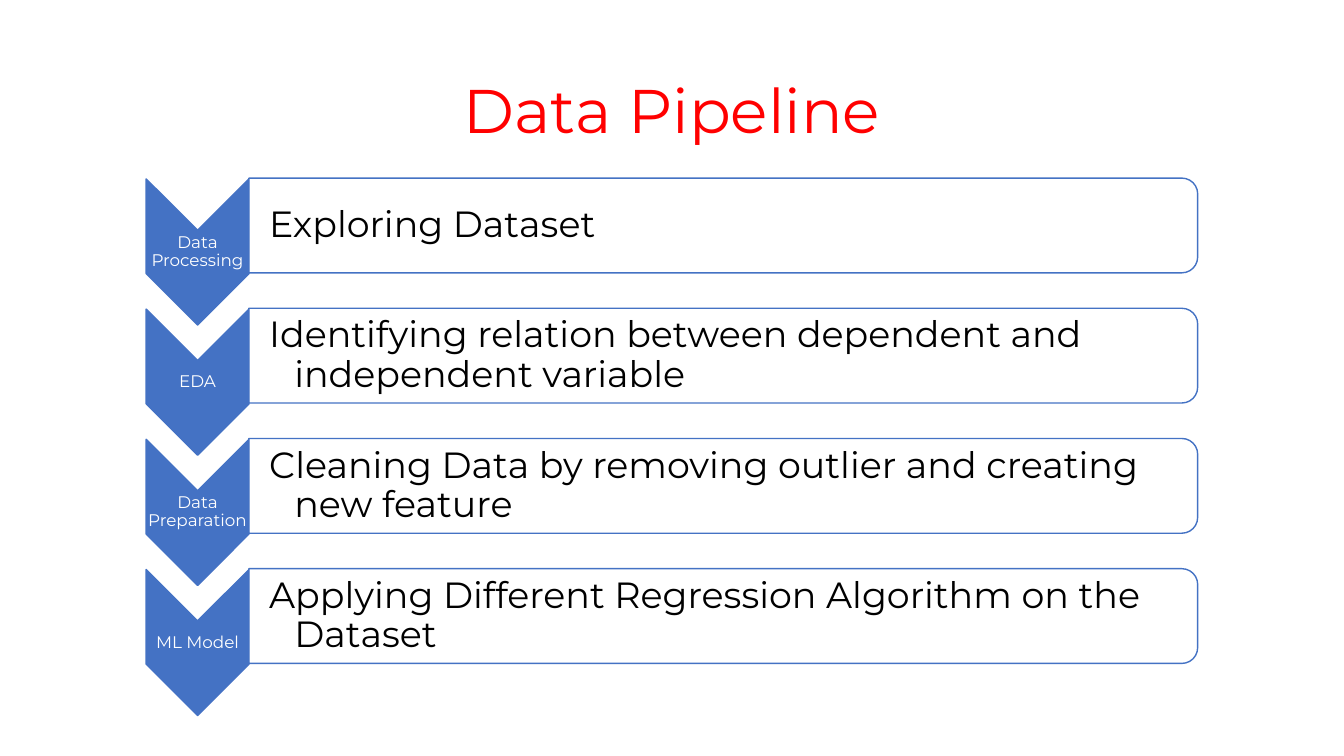
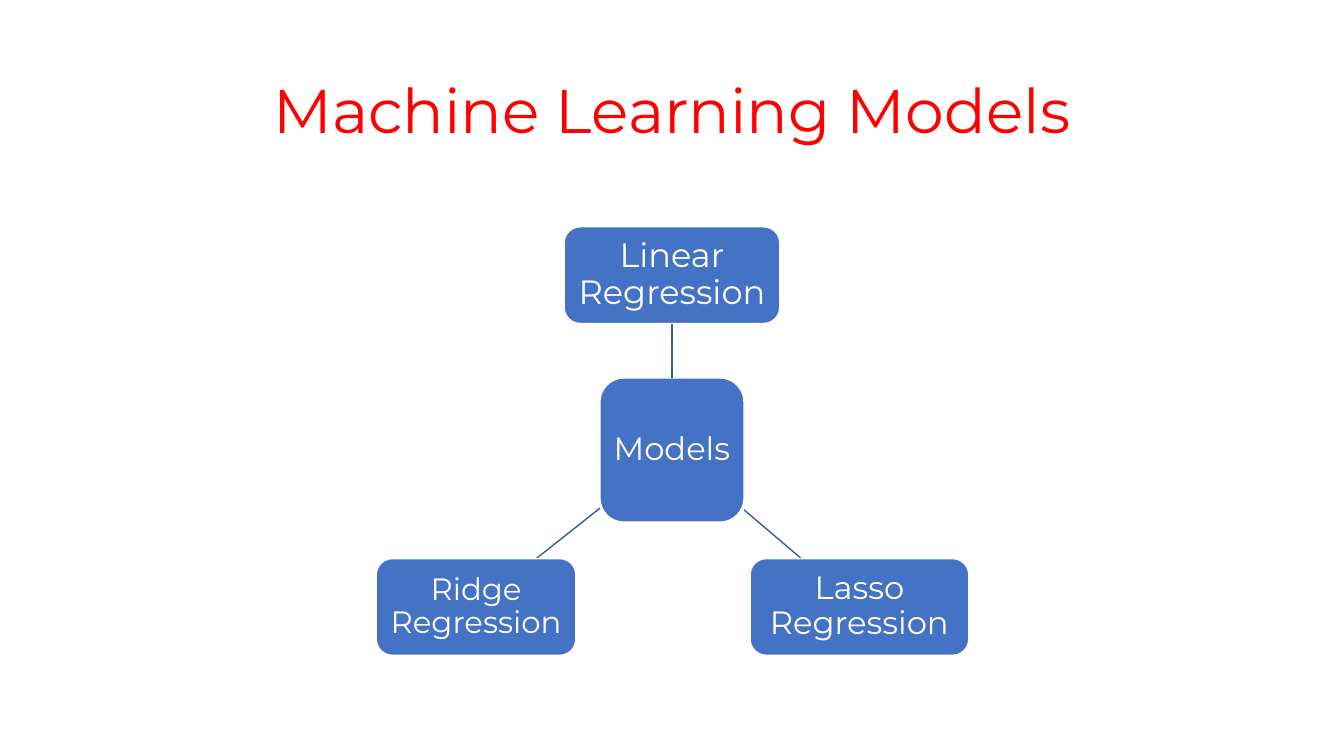
import dataclasses

import lxml.etree
import pptx
import pptx.dml.color
import pptx.enum.shapes
import pptx.enum.text
import pptx.oxml.ns
import pptx.shapes.autoshape
import pptx.slide
import pptx.util

RED = pptx.dml.color.RGBColor(0xFF, 0x00, 0x00)
BLUE = pptx.dml.color.RGBColor(0x44, 0x72, 0xC4)
DARK_BLUE = pptx.dml.color.RGBColor(0x36, 0x5B, 0x9D)
WHITE = pptx.dml.color.RGBColor(0xFF, 0xFF, 0xFF)
BLACK = pptx.dml.color.RGBColor(0x00, 0x00, 0x00)

FONT = "Montserrat"
SLIDE_WIDTH = pptx.util.Inches(13.33)
SLIDE_HEIGHT = pptx.util.Inches(7.5)
COLUMNS, ROWS = 160, 90
BLANK_LAYOUT = 6

Shapes = pptx.enum.shapes.MSO_SHAPE
Align = pptx.enum.text.PP_ALIGN


@dataclasses.dataclass(frozen=True)
class Box:
    left: float
    top: float
    width: float
    height: float

    @property
    def center(self) -> tuple[float, float]:
        return self.left + self.width / 2, self.top + self.height / 2

    def quarter_turned(self) -> "Box":
        x, y = self.center
        return centered_box(x, y, self.height, self.width)

    def emu(self) -> tuple[int, int, int, int]:
        return column(self.left), row(self.top), column(self.width), row(self.height)


@dataclasses.dataclass(frozen=True)
class TextStyle:
    size: float
    color: pptx.dml.color.RGBColor
    align: Align = Align.CENTER
    inset: float = 0.01
    left_inset: float | None = None
    hanging: float = 0


@dataclasses.dataclass(frozen=True)
class Stage:
    label: str
    description: str


@dataclasses.dataclass(frozen=True)
class Model:
    name: str
    box: Box
    size: float
    inset: float
    line_start: tuple[float, float]
    line_end: tuple[float, float]


TITLE_BOX = Box(11, 4.8, 138, 17.4)
TITLE_STYLE = TextStyle(44, RED, inset=0.1)
LABEL_STYLE = TextStyle(12, WHITE)
DESCRIPTION_STYLE = TextStyle(26, BLACK, Align.LEFT, 0.02, 0.2, 0.25)

STAGE_PITCH = 15.5
CHEVRON = Box(17.4, 21.3, 12.24, 17.4)
LABEL_HEIGHT = 5.28
BAR = Box(29.64, 21.2, 112.92, 11.28)
BAR_TEXT_WIDTH, BAR_TEXT_HEIGHT = 112.3, 10.2
BAR_OPACITY = 90

STAGES = (
    Stage("Data Processing", "Exploring Dataset"),
    Stage("EDA", "Identifying relation between dependent and independent variable"),
    Stage("Data Preparation", "Cleaning Data by removing outlier and creating new feature"),
    Stage("ML Model", "Applying Different Regression Algorithm on the Dataset"),
)

HUB = Box(71.42, 45, 17.16, 17.16)
HUB_STYLE = TextStyle(23, WHITE, inset=0.06)
MODEL_HEIGHT = 11.52
LOWER_TOP = 66.5
MODELS = (
    Model("Linear Regression", Box(67.16, 27, 25.68, MODEL_HEIGHT), 24, 0.07,
          (80, 45), (80, 38.52)),
    Model("Lasso Regression", Box(89.3, LOWER_TOP, 26.04, MODEL_HEIGHT), 23, 0.06,
          (88.58, 60.7), (95.4, LOWER_TOP)),
    Model("Ridge Regression", Box(44.8, LOWER_TOP, 23.76, MODEL_HEIGHT), 22, 0.06,
          (71.42, 60.5), (63.84, LOWER_TOP)),
)


def column(count: float) -> int:
    return round(SLIDE_WIDTH * count / COLUMNS)


def row(count: float) -> int:
    return round(SLIDE_HEIGHT * count / ROWS)


def centered_box(x: float, y: float, width: float, height: float) -> Box:
    return Box(x - width / 2, y - height / 2, width, height)


def set_attributes(target: object, values: dict[str, object]) -> None:
    for name, value in values.items():
        setattr(target, name, value)


def write_text(shape: pptx.shapes.autoshape.Shape, text: str, style: TextStyle) -> None:
    inset = pptx.util.Inches(style.inset)
    left_inset = inset if style.left_inset is None else pptx.util.Inches(style.left_inset)
    set_attributes(shape.text_frame, {
        "word_wrap": True,
        "vertical_anchor": pptx.enum.text.MSO_ANCHOR.MIDDLE,
        "margin_left": left_inset,
        "margin_right": inset,
        "margin_top": inset,
        "margin_bottom": inset,
    })
    paragraph = shape.text_frame.paragraphs[0]
    set_attributes(paragraph, {"text": text, "alignment": style.align, "line_spacing": 0.9})
    set_attributes(paragraph.font, {"name": FONT, "size": pptx.util.Pt(style.size)})
    paragraph.font.color.rgb = style.color
    if style.hanging:
        indent = pptx.util.Inches(style.hanging)
        properties = paragraph._p.get_or_add_pPr()
        properties.set("marL", str(indent))
        properties.set("indent", str(-indent))


def add_text(slide: pptx.slide.Slide, box: Box, text: str, style: TextStyle) -> None:
    write_text(slide.shapes.add_textbox(*box.emu()), text, style)


def add_preset(
    slide: pptx.slide.Slide,
    preset: Shapes,
    box: Box,
    fill: pptx.dml.color.RGBColor,
    line: pptx.dml.color.RGBColor,
    rotation: float = 0,
) -> pptx.shapes.autoshape.Shape:
    shape = slide.shapes.add_shape(preset, *box.emu())
    shape.rotation = rotation
    shape.shadow.inherit = False
    shape.fill.solid()
    shape.fill.fore_color.rgb = fill
    shape.line.color.rgb = line
    shape.line.width = pptx.util.Pt(1)
    return shape


def set_opacity(shape: pptx.shapes.autoshape.Shape, percent: int) -> None:
    qualified = pptx.oxml.ns.qn
    fill = shape._element.spPr.find(qualified("a:solidFill"))
    alpha = lxml.etree.SubElement(fill[0], qualified("a:alpha"))
    alpha.set("val", str(percent * 1000))


def add_line(
    slide: pptx.slide.Slide, start: tuple[float, float], end: tuple[float, float]
) -> None:
    connector = slide.shapes.add_connector(
        pptx.enum.shapes.MSO_CONNECTOR.STRAIGHT,
        column(start[0]), row(start[1]), column(end[0]), row(end[1]),
    )
    connector.line.color.rgb = DARK_BLUE
    connector.line.width = pptx.util.Pt(1)
    lxml.etree.SubElement(connector._element.spPr, pptx.oxml.ns.qn("a:effectLst"))


def add_stage(slide: pptx.slide.Slide, stage: Stage, index: int) -> None:
    offset = index * STAGE_PITCH
    chevron = dataclasses.replace(CHEVRON, top=CHEVRON.top + offset)
    bar = dataclasses.replace(BAR, top=BAR.top + offset)
    add_preset(slide, Shapes.CHEVRON, chevron.quarter_turned(), BLUE, BLUE, 90)
    label_box = centered_box(*chevron.center, chevron.width, LABEL_HEIGHT)
    add_text(slide, label_box, stage.label, LABEL_STYLE)
    panel = add_preset(
        slide, Shapes.ROUND_2_SAME_RECTANGLE, bar.quarter_turned(), WHITE, BLUE, 90
    )
    set_opacity(panel, BAR_OPACITY)
    text_top = bar.top + (bar.height - BAR_TEXT_HEIGHT) / 2
    text_box = Box(bar.left, text_top, BAR_TEXT_WIDTH, BAR_TEXT_HEIGHT)
    add_text(slide, text_box, stage.description, DESCRIPTION_STYLE)


def add_node(slide: pptx.slide.Slide, box: Box, text: str, style: TextStyle) -> None:
    write_text(add_preset(slide, Shapes.ROUNDED_RECTANGLE, box, BLUE, WHITE), text, style)


def add_titled_slide(
    presentation: pptx.presentation.Presentation, title: str
) -> pptx.slide.Slide:
    slide = presentation.slides.add_slide(presentation.slide_layouts[BLANK_LAYOUT])
    add_text(slide, TITLE_BOX, title, TITLE_STYLE)
    return slide


def build_pipeline(presentation: pptx.presentation.Presentation) -> None:
    slide = add_titled_slide(presentation, "Data Pipeline")
    for index, stage in enumerate(STAGES):
        add_stage(slide, stage, index)


def build_models(presentation: pptx.presentation.Presentation) -> None:
    slide = add_titled_slide(presentation, "Machine Learning Models")
    add_node(slide, HUB, "Models", HUB_STYLE)
    for model in MODELS:
        add_line(slide, model.line_start, model.line_end)
        style = TextStyle(model.size, WHITE, inset=model.inset)
        add_node(slide, model.box, model.name, style)


def main() -> None:
    presentation = pptx.Presentation()
    set_attributes(
        presentation, {"slide_width": SLIDE_WIDTH, "slide_height": SLIDE_HEIGHT}
    )
    build_pipeline(presentation)
    build_models(presentation)
    presentation.save("out.pptx")


if __name__ == "__main__":
    main()
